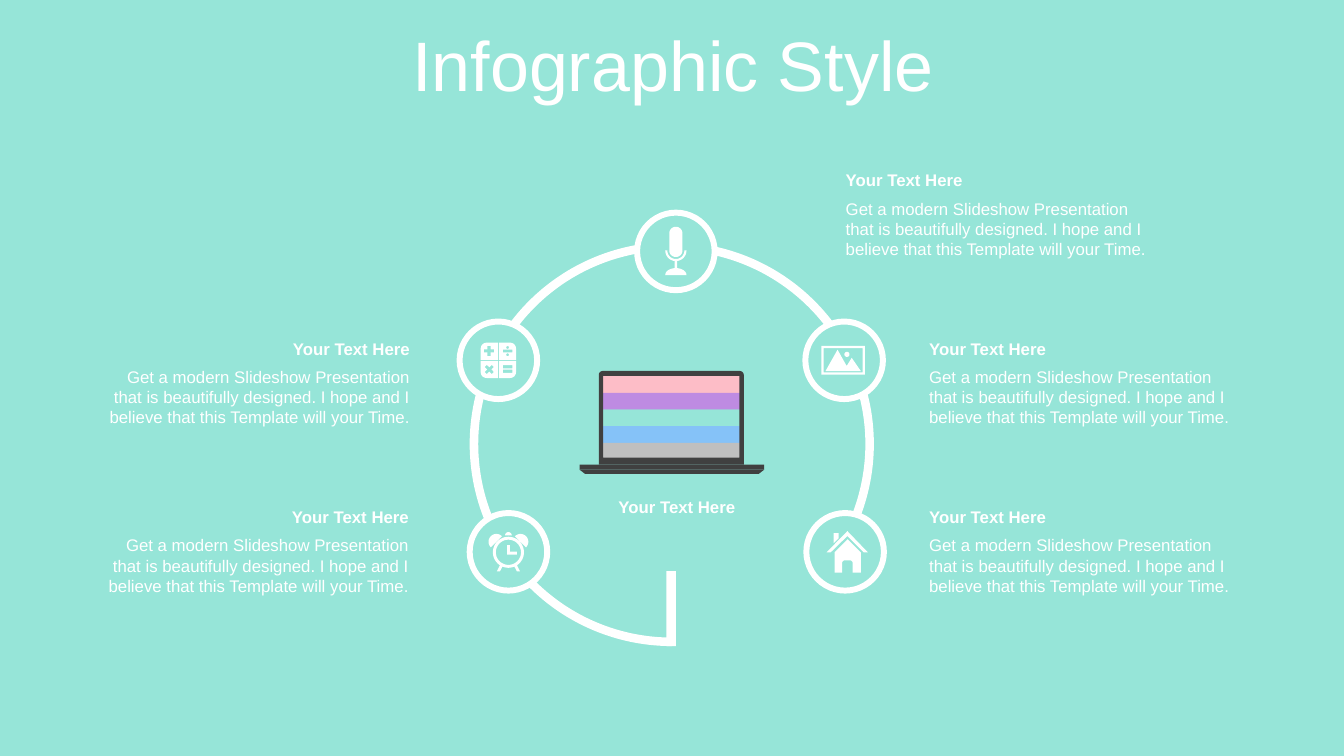
from math import cos, radians, sin

from pptx import Presentation
from pptx.dml.color import RGBColor
from pptx.enum.shapes import MSO_SHAPE
from pptx.enum.text import MSO_ANCHOR, PP_ALIGN
from pptx.util import Pt

RECTANGLE, OVAL = MSO_SHAPE.RECTANGLE, MSO_SHAPE.OVAL
TRAPEZOID, BLOCK_ARC = MSO_SHAPE.TRAPEZOID, MSO_SHAPE.BLOCK_ARC
LEFT, CENTER, RIGHT = PP_ALIGN.LEFT, PP_ALIGN.CENTER, PP_ALIGN.RIGHT
MIDDLE = MSO_ANCHOR.MIDDLE

MINT, WHITE, CHARCOAL = "96E5D8", "FFFFFF", "404040"
STRIPES = ["FDBDC7", "BE8BE2", MINT, "85C2F8", "BFBFBF"]
HEADING = "Your Text Here"
BODY = ("Get a modern Slideshow Presentation that is beautifully designed. "
        "I hope and I believe that this Template will your Time.")
CAPTIONS = [(597, 118, LEFT), (656.6, 238.2, LEFT), (656.6, 358.5, LEFT),
            (65.5, 238.2, RIGHT), (64.8, 358.5, RIGHT)]
LAPTOP_CENTER = 479.5
BADGE_SIZE = 55.4
RING_SIZE, RING_WIDTH = 288.7, 6.1


def paint(fill, color):
    fill.solid()
    fill.fore_color.rgb = RGBColor.from_string(color)


def add_filled(slide, kind, left, top, width, height, color):
    shape = slide.shapes.add_shape(kind, Pt(left), Pt(top), Pt(width), Pt(height))
    shape.shadow.inherit = False
    paint(shape.fill, color)
    shape.line.fill.background()
    return shape


def write(frame, text, size, align, bold=False):
    frame.word_wrap = True
    frame.text = text
    paragraph = frame.paragraphs[0]
    paragraph.alignment = align
    font = paragraph.runs[0].font
    font.name, font.size, font.bold = "Arial", Pt(size), bold
    font.color.rgb = RGBColor.from_string(WHITE)


def add_label(slide, left, top, width, height, text, align, bold=False):
    label = slide.shapes.add_textbox(Pt(left), Pt(top), Pt(width), Pt(height))
    write(label.text_frame, text, 12, align, bold)


def add_title(slide):
    title = slide.shapes.title
    title.left, title.top = Pt(25.2), Pt(22.3)
    title.width, title.height = Pt(911.5), Pt(56.9)
    write(title.text_frame, "Infographic Style", 50, CENTER)
    title.text_frame.vertical_anchor = MIDDLE
    title.text_frame.paragraphs[0].line_spacing = 0.8


def arc(x, y, rx, ry, start=0, end=360, steps=24):
    angles = [radians(start + (end - start) * i / steps) for i in range(steps + 1)]
    return [(x + rx * cos(a), y + ry * sin(a)) for a in angles]


def box(left, top, width, height):
    right, bottom = left + width, top + height
    return [(left, top), (right, top), (right, bottom), (left, bottom)]


def plus(x, y, turn=0):
    points = []
    for quarter in range(4):
        a = radians(turn + 90 * quarter)
        for along, across in [(3.6, -1.1), (3.6, 1.1), (1.1, 1.1)]:
            points.append((x + along * cos(a) - across * sin(a),
                           y + along * sin(a) + across * cos(a)))
    return points


def mirror(points, sx, sy=1):
    return [(sx * x, sy * y) for x, y in points]


def add_outline(slide, x, y, contours, color):
    placed = [[(Pt(x + dx), Pt(y + dy)) for dx, dy in points] for points in contours]
    builder = slide.shapes.build_freeform(*placed[0][0])
    for number, points in enumerate(placed):
        if number:
            builder.move_to(*points[0])
        builder.add_line_segments(points[1:], close=True)
    shape = builder.convert_to_shape()
    shape.shadow.inherit = False
    paint(shape.fill, color)
    shape.line.fill.background()


def microphone():
    return [arc(0, -12.9, 4.7, 4.7, 180, 360) + arc(0, -0.7, 4.7, 4.7, 0, 180),
            arc(0, -0.7, 7.6, 7.6, 0, 180) + arc(0, -0.7, 6.1, 6.1, 180, 0),
            box(-0.9, 6.9, 1.8, 5),
            arc(0, 16.9, 7.6, 5, 180, 360)]


def calculator():
    key = [(0.4, 0.4), (12.6, 0.4)] + arc(8.4, 8.4, 4.2, 4.2, 0, 90) + [(0.4, 12.6)]
    keys = [mirror(key, sx, sy) for sx in (-1, 1) for sy in (-1, 1)]
    divide = [box(3.2, -7.6, 6.8, 2)] + [arc(6.6, y, 1, 1) for y in (-9.2, -4)]
    equals = [box(3.2, y, 6.8, 2.2) for y in (3.5, 6.7)]
    return keys + [plus(-6.7, -6.7), plus(-6.5, 6.5, 45)] + divide + equals


def alarm_clock():
    hands = [(-1, -4.8), (1, -4.8), (1, -0.1), (6, -0.1), (6, 1.9), (-1, 1.9)]
    bell = arc(-8.6, -7.2, 5.6, 5.6, 135, 315)
    foot = [(-6.1, 9.7), (-4.3, 10.6), (-6.1, 14), (-8.3, 14)]
    sides = [mirror(part, sx) for part in (bell, foot) for sx in (1, -1)]
    return [arc(0, 0.3, 11.1, 11.1, steps=48), arc(0, 0.3, 9, 9, steps=48),
            hands, arc(0, -11.7, 2.4, 2.4, 180, 360)] + sides


def house():
    roof = [(1.6, -14.8), (16.2, 0.4), (13.3, 0.4), (1.6, -11.3), (-10.4, 0.4), (-13.3, 0.4)]
    door = arc(3.4, 8.1, 2, 2, 0, -90) + arc(-0.2, 8.1, 2, 2, -90, -180)
    walls = ([(1.8, -9), (11.2, 0.4), (11.2, 14.8), (5.4, 14.8)] + door
             + [(-2.2, 14.8), (-7.6, 14.8), (-7.6, 0.4)])
    chimney = [(-8.3, -13.3), (-4.7, -13.3), (-4.7, -9.7), (-8.3, -6.1)]
    return [roof, walls, chimney]


def photo():
    mountains = [(-4.7, -7.6), (1.8, 4), (5.4, -1.8), (11.9, 7.6), (-13.3, 7.6)]
    return [box(-16.2, -10.4, 31, 20.6), box(-14.6, -8.8, 27.8, 17.4),
            arc(2, -4.3, 1.8, 1.8), mountains]


def add_laptop(slide):
    for row, color in enumerate(STRIPES):
        add_filled(slide, RECTANGLE, 430.6, 268.7 + 11.9 * row, 100, 12, color)
    lid = (arc(-48.8, 268, 3, 3, 180, 270) + arc(48.8, 268, 3, 3, 270, 360)
           + [(51.8, 331.9), (-51.8, 331.9)])
    add_outline(slide, LAPTOP_CENTER, 0, [lid, box(-48.6, 268.6, 97.2, 58.3)], CHARCOAL)
    add_filled(slide, RECTANGLE, 414, 331.9, 131.8, 3.6, CHARCOAL)
    foot = add_filled(slide, TRAPEZOID, 414, 335.5, 131.8, 2.9, CHARCOAL)
    foot.rotation = 180
    foot.adjustments[0] = 1.3


def add_ring(slide):
    ring = add_filled(slide, BLOCK_ARC, 335.5, 172.8, RING_SIZE, RING_SIZE, WHITE)
    for index, value in enumerate([53.93, 17.21, RING_WIDTH / RING_SIZE]):
        ring.adjustments[index] = value
    add_filled(slide, RECTANGLE, 476, 408, 6.9, 53.6, WHITE)


def add_badge(slide, x, y, icon):
    badge = add_filled(slide, OVAL, x - BADGE_SIZE / 2, y - BADGE_SIZE / 2,
                       BADGE_SIZE, BADGE_SIZE, MINT)
    paint(badge.line.fill, WHITE)
    badge.line.width = Pt(4.25)
    add_outline(slide, x, y, icon, WHITE)


def main():
    deck = Presentation()
    deck.slide_width, deck.slide_height = Pt(960), Pt(540)
    slide = deck.slides.add_slide(deck.slide_layouts[5])
    paint(slide.background.fill, MINT)
    add_title(slide)
    add_laptop(slide)
    add_label(slide, 395.3, 351.4, 176.4, 21.6, HEADING, CENTER, True)
    add_ring(slide)
    for x, y, icon in [(603.7, 394.2, house()), (482.8, 179.6, microphone()),
                       (356, 257.4, calculator()), (363.2, 394.2, alarm_clock()),
                       (603, 257.4, photo())]:
        add_badge(slide, x, y, icon)
    for left, top, align in CAPTIONS:
        add_label(slide, left, top, 234.4, 21.6, HEADING, align, True)
        add_label(slide, left, top + 20.2, 234.4, 51, BODY, align)
    deck.save("out.pptx")


if __name__ == "__main__":
    main()
